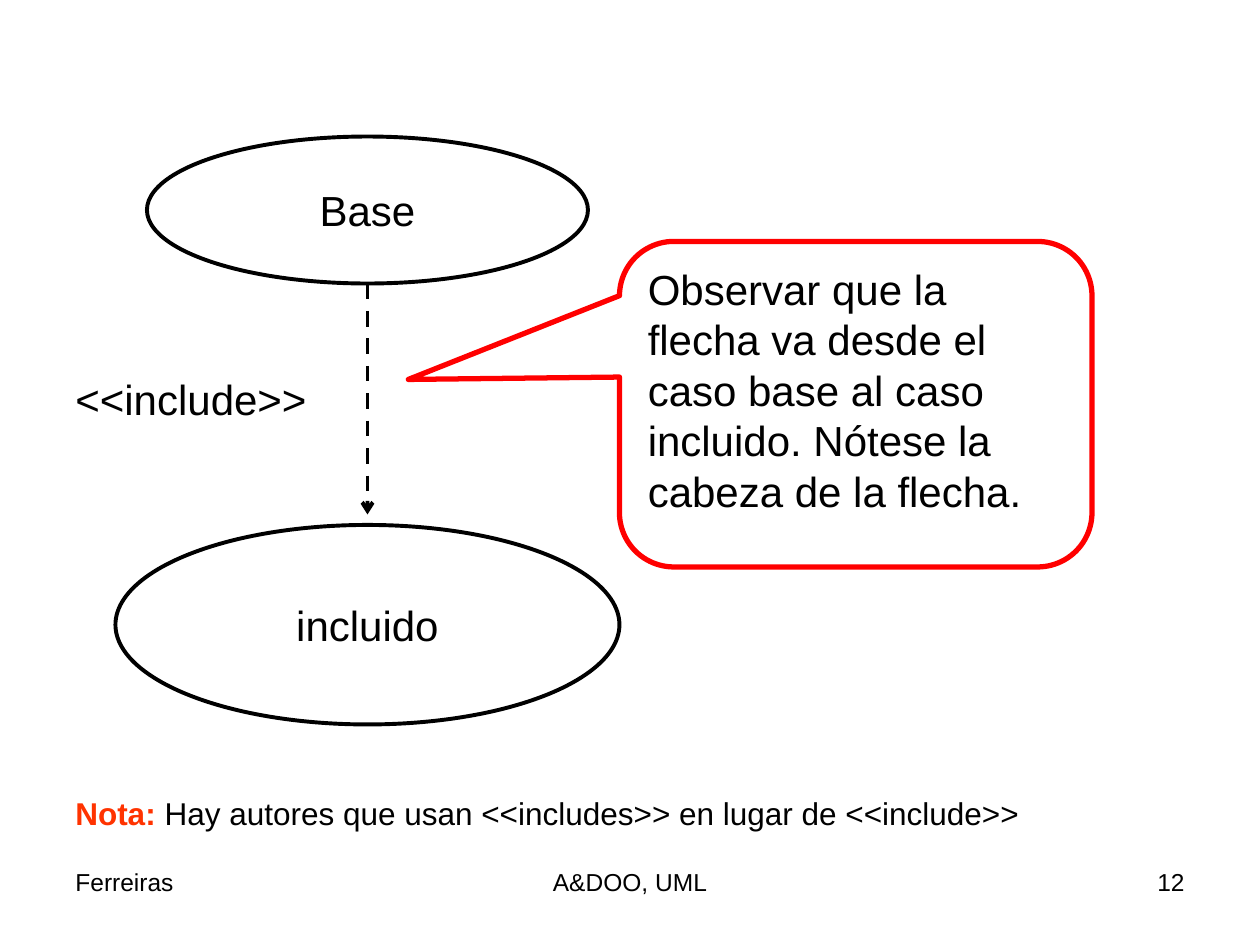
from lxml.etree import SubElement
from pptx import Presentation
from pptx.dml.color import RGBColor
from pptx.enum.dml import MSO_LINE
from pptx.enum.shapes import MSO_CONNECTOR, MSO_SHAPE
from pptx.enum.text import MSO_ANCHOR, PP_ALIGN
from pptx.oxml.ns import qn
from pptx.util import Pt

BLACK = RGBColor(0x00, 0x00, 0x00)
RED = RGBColor(0xFF, 0x00, 0x00)
ORANGE = RGBColor(0xFF, 0x33, 0x00)


class SlideBuilder:
    font = "Arial"
    body_size = 24
    note_size = 18
    footer_size = 14
    line_width = 2.25

    def __init__(self, slide):
        self.slide = slide

    def add_runs(self, shape, runs, size, align=PP_ALIGN.LEFT, space_before=0):
        paragraph = shape.text_frame.paragraphs[0]
        paragraph.alignment = align
        paragraph.space_before = Pt(space_before)
        for text, color, bold in runs:
            run = paragraph.add_run()
            run.text = text
            run.font.name = self.font
            run.font.size = Pt(size)
            run.font.bold = bold
            run.font.color.rgb = color

    def outline(self, preset, box, color, width):
        shape = self.slide.shapes.add_shape(preset, *map(Pt, box))
        shape.shadow.inherit = False
        shape.fill.background()
        shape.line.color.rgb = color
        shape.line.width = Pt(width)
        return shape

    def use_case(self, box, name):
        shape = self.outline(MSO_SHAPE.OVAL, box, BLACK, self.line_width)
        shape.text_frame.word_wrap = False
        shape.text_frame.vertical_anchor = MSO_ANCHOR.MIDDLE
        self.add_runs(shape, [(name, BLACK, False)], self.body_size, PP_ALIGN.CENTER)

    def callout(self, box, adjustments, text):
        shape = self.outline(MSO_SHAPE.ROUNDED_RECTANGULAR_CALLOUT, box, RED, 3)
        for index, value in enumerate(adjustments):
            shape.adjustments[index] = value
        shape.text_frame.word_wrap = True
        shape.text_frame.vertical_anchor = MSO_ANCHOR.TOP
        self.add_runs(shape, [(text, BLACK, False)], self.body_size)

    def dashed_arrow(self, start, end):
        connector = self.slide.shapes.add_connector(
            MSO_CONNECTOR.STRAIGHT, *map(Pt, start + end)
        )
        connector.line.color.rgb = BLACK
        connector.line.width = Pt(self.line_width)
        connector.line.dash_style = MSO_LINE.DASH
        properties = connector._element.spPr
        SubElement(properties.find(qn("a:ln")), qn("a:tailEnd"), type="arrow")
        SubElement(properties, qn("a:effectLst"))

    def text(self, box, runs, size, align=PP_ALIGN.LEFT, space_before=0):
        shape = self.slide.shapes.add_textbox(*map(Pt, box))
        shape.text_frame.word_wrap = True
        self.add_runs(shape, runs, size, align, space_before)

    def footer(self, left, width, text, align):
        self.text((left, 492, width, 37.2), [(text, BLACK, False)], self.footer_size, align)


def main():
    presentation = Presentation()
    presentation.slide_width = Pt(720)
    presentation.slide_height = Pt(540)
    builder = SlideBuilder(presentation.slides.add_slide(presentation.slide_layouts[6]))

    builder.use_case((84, 78, 252, 84), "Base")
    builder.use_case((66, 300, 288, 114), "incluido")
    builder.dashed_arrow((210, 162), (210, 294))
    builder.text(
        (36, 210, 162, 36),
        [("<<include>>", BLACK, False)],
        builder.body_size,
        space_before=15,
    )
    builder.callout(
        (354, 138, 270, 186),
        (-0.947, -0.076, 0.167),
        "Observar que la flecha va desde el caso base al caso incluido. "
        "Nótese la cabeza de la flecha.",
    )
    builder.text(
        (36, 450, 582, 28.8),
        [
            ("Nota:", ORANGE, True),
            (" Hay autores que usan <<includes>> en lugar de <<include>>", BLACK, False),
        ],
        builder.note_size,
        space_before=11.2,
    )
    builder.footer(246, 228, "A&DOO, UML", PP_ALIGN.CENTER)
    builder.footer(516, 168, "12", PP_ALIGN.RIGHT)
    builder.footer(36, 168, "Ferreiras", PP_ALIGN.LEFT)

    presentation.save("out.pptx")


if __name__ == "__main__":
    main()
